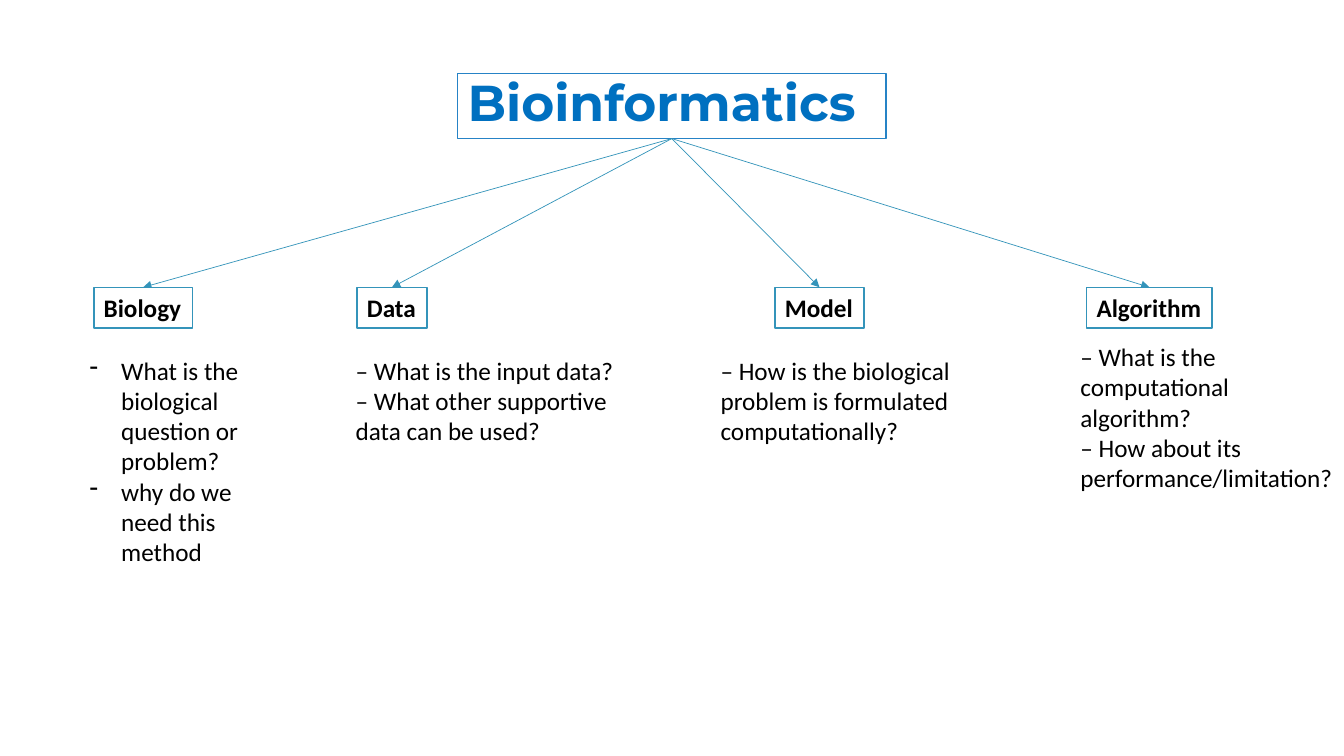
from lxml import etree
from pptx import Presentation
from pptx.dml.color import RGBColor
from pptx.enum.shapes import MSO_CONNECTOR, MSO_SHAPE
from pptx.enum.text import MSO_ANCHOR, PP_ALIGN
from pptx.oxml.ns import qn
from pptx.util import Pt

RECTANGLE = MSO_SHAPE.RECTANGLE
STRAIGHT = MSO_CONNECTOR.STRAIGHT
TOP = MSO_ANCHOR.TOP
LEFT = PP_ALIGN.LEFT

WHITE, BLACK = "FFFFFF", "000000"
TITLE_BLUE, TITLE_BORDER, TEAL = "0070C0", "2683C6", "3494BA"

TITLE_BOX = (326.9, 52.5, 306, 46.5)
LABEL_TOP, LABEL_HEIGHT = 205.2, 29
HANGING_INDENT = 22.5

# Label, label left and width, body box, hyphen bullets, body paragraphs
BRANCHES = [
    ("Biology", 67, 70.5, (57, 250, 136.8, 160), True,
     ["What is the biological question or problem?",
      "why do we need this method"]),
    ("Data", 255, 50, (247, 250, 211, 72.7), False,
     ["– What is the input data? – What other supportive data can be used?"]),
    ("Model", 553.5, 63.7, (507.6, 250, 236.2, 72.7), False,
     ["– How is the biological problem is formulated computationally?"]),
    ("Algorithm", 776.2, 89.7, (764.6, 240.3, 195.8, 116.6), False,
     ["– What is the computational algorithm?",
      "– How about its performance/limitation?"]),
]


def color(hex_string):
    return RGBColor.from_string(hex_string)


def points(box):
    return [Pt(length) for length in box]


def add_run(paragraph, text, size=18, font="Calibri", fill=BLACK, bold=False):
    run = paragraph.add_run()
    run.text = text
    run.font.size = Pt(size)
    run.font.name = font
    run.font.bold = bold
    run.font.color.rgb = color(fill)


def add_framed_text(slide, box, text, border, wrap=False, line_spacing=1, **style):
    shape = slide.shapes.add_shape(RECTANGLE, *points(box))
    shape.shadow.inherit = False
    shape.fill.solid()
    shape.fill.fore_color.rgb = color(WHITE)
    shape.line.color.rgb = color(border)
    shape.line.width = Pt(1)
    shape.text_frame.word_wrap = wrap
    shape.text_frame.vertical_anchor = TOP
    paragraph = shape.text_frame.paragraphs[0]
    paragraph.alignment = LEFT
    paragraph.line_spacing = line_spacing
    add_run(paragraph, text, bold=True, **style)


def add_arrow(slide, start, end):
    connector = slide.shapes.add_connector(STRAIGHT, *points(start + end))
    connector.line.color.rgb = color(TEAL)
    connector.line.width = Pt(0.5)
    line = connector.line._get_or_add_ln()
    etree.SubElement(line, qn("a:tailEnd"), type="triangle")
    etree.SubElement(connector._element.spPr, qn("a:effectLst"))


def add_hyphen_bullet(paragraph):
    properties = paragraph._p.get_or_add_pPr()
    properties.set("marL", str(Pt(HANGING_INDENT)))
    properties.set("indent", str(-Pt(HANGING_INDENT)))
    etree.SubElement(properties, qn("a:buFontTx"))
    etree.SubElement(properties, qn("a:buChar"), char="-")


def add_body(slide, box, texts, bulleted):
    frame = slide.shapes.add_textbox(*points(box)).text_frame
    frame.word_wrap = True
    for index, text in enumerate(texts):
        paragraph = frame.add_paragraph() if index else frame.paragraphs[0]
        if bulleted:
            add_hyphen_bullet(paragraph)
        add_run(paragraph, text)


def add_branch(slide, origin, branch):
    label, left, width, body_box, bulleted, texts = branch
    add_arrow(slide, origin, (left + width / 2, LABEL_TOP))
    add_framed_text(slide, (left, LABEL_TOP, width, LABEL_HEIGHT), label, TEAL)
    add_body(slide, body_box, texts, bulleted)


def add_concept_map(slide, title_box):
    left, top, width, height = title_box
    add_framed_text(slide, title_box, "Bioinformatics", TITLE_BORDER, wrap=True,
                    line_spacing=0.9, size=36, font="Montserrat", fill=TITLE_BLUE)
    origin = (left + width / 2, top + height)
    for branch in BRANCHES:
        add_branch(slide, origin, branch)


def main():
    presentation = Presentation()
    presentation.slide_width = Pt(960)
    presentation.slide_height = Pt(540)
    slide = presentation.slides.add_slide(presentation.slide_layouts[6])
    add_concept_map(slide, TITLE_BOX)
    presentation.save("out.pptx")


if __name__ == "__main__":
    main()
